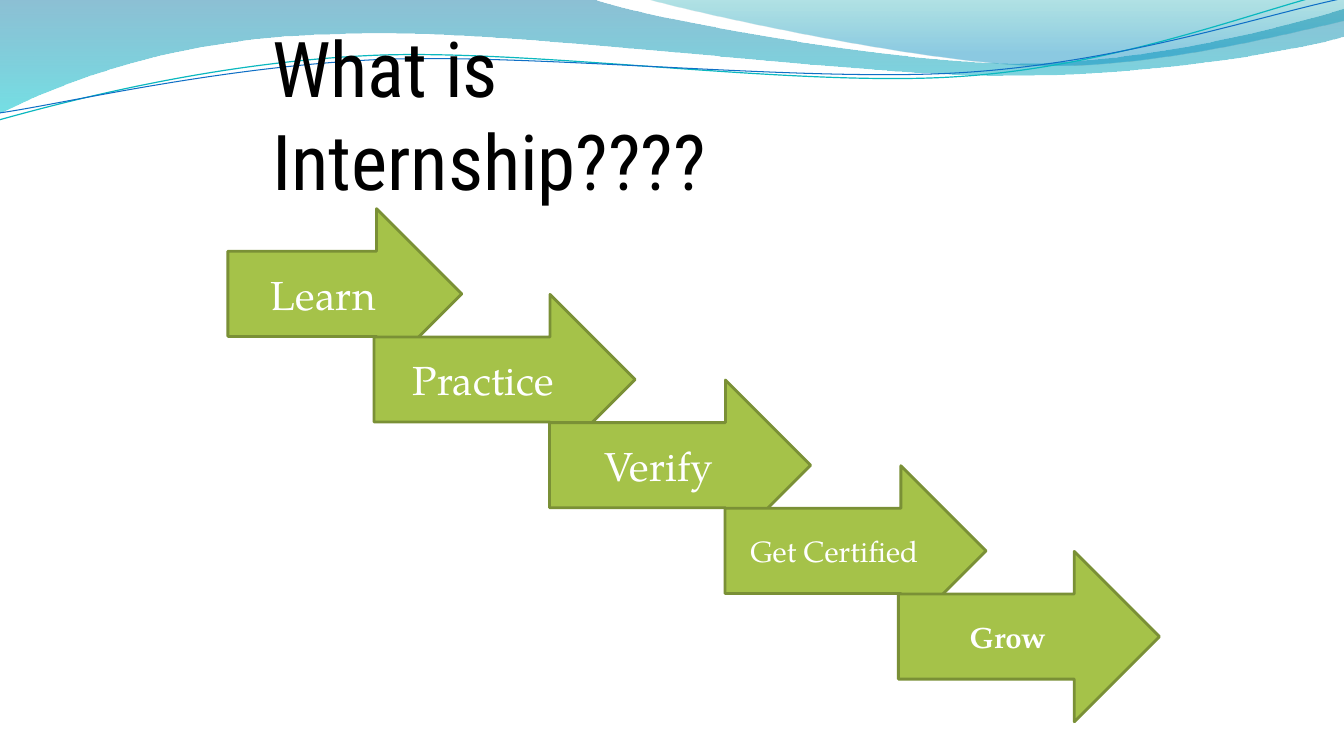
import math

from lxml import etree
from pptx import Presentation
from pptx.dml.color import RGBColor
from pptx.enum import shapes, text
from pptx.oxml import ns
from pptx.util import Inches, Pt

BLACK = RGBColor(0x00, 0x00, 0x00)
WHITE = RGBColor(0xFF, 0xFF, 0xFF)
GREEN = RGBColor(0xA5, 0xC2, 0x49)
DARK_GREEN = RGBColor(0x7A, 0x90, 0x36)
TEAL_LINE = RGBColor(0x0A, 0xB8, 0xBF)
BLUE_LINE = RGBColor(0x0F, 0x6F, 0xC6)
DEEP_BLUE = RGBColor(0x00, 0x74, 0xA1)
AQUA = RGBColor(0x00, 0xC6, 0xCF)
TEAL = RGBColor(0x00, 0xA1, 0xA9)
SKY_BLUE = RGBColor(0x00, 0x8B, 0xBF)

TITLE_FONT = "Roboto Condensed"
STEP_FONT = "TeX Gyre Pagella"
CURVE_TILT = 2.7

LEFT_WAVE = [
    [(0, 0)],
    [(5.87, -0.01)],
    [(6.34, 0.17), (8.85, 0.63), (10.11, 0.63)],
    [(11.38, 0.63), (12.78, 0.26), (13.33, 0.09)],
    [(13.35, 0.36)],
    [(13.11, 0.44), (11.6, 0.76), (9.94, 0.75)],
    [(8.29, 0.75), (5.09, 0.28), (3.43, 0.34)],
    [(1.72, 0.36), (0.61, 0.83), (-0.01, 1.13)],
]
RIGHT_WAVE = [
    [(6.39, -0.01)],
    [(6.79, 0.11), (9.09, 0.62), (10.25, 0.65)],
    [(11.41, 0.69), (12.82, 0.32), (13.33, 0.21)],
    [(13.33, 0)],
]
TEAL_CURVE = [
    [(-0.01, 1.19)],
    [(0.64, 1.01), (2.11, 0.62), (3.69, 0.55)],
    [(5.27, 0.48), (7.9, 0.87), (9.5, 0.76)],
    [(11.1, 0.66), (12.52, 0.08), (13.31, -0.1)],
]
BLUE_CURVE = [
    [(0, 1.12)],
    [(0.63, 1.03), (2.18, 0.66), (3.78, 0.59)],
    [(5.37, 0.53), (7.96, 0.82), (9.55, 0.72)],
    [(11.15, 0.62), (12.55, 0.14), (13.34, -0.02)],
]

STEPS = [
    ("Learn", 2.26, 2.32, 29, False),
    ("Practice", 3.71, 2.59, 29, False),
    ("Verify", 5.45, 2.59, 29, False),
    ("Get Certified", 7.19, 2.59, 21, False),
    ("Grow", 8.91, 2.59, 21, True),
]
FIRST_TOP, STEP_DROP, ARROW_HEIGHT = 2.07, 0.85, 1.69


def bend(outline, segments):
    edges = list(outline.element.iter(ns.qn("a:lnTo")))
    for edge, segment in zip(edges, segments[1:]):
        if len(segment) == 1:
            continue
        curve = etree.Element(ns.qn("a:cubicBezTo"))
        for x, y in segment[:2]:
            etree.SubElement(curve, ns.qn("a:pt"),
                             x=str(Inches(x) - outline.left),
                             y=str(Inches(y) - outline.top))
        curve.append(edge[0])
        edge.getparent().replace(edge, curve)


def add_outline(slide, segments, close):
    start, *rest = [(Inches(x), Inches(y)) for *_, (x, y) in segments]
    builder = slide.shapes.build_freeform(*start)
    builder.add_line_segments(rest, close=close)
    outline = builder.convert_to_shape()
    outline.shadow.inherit = False
    bend(outline, segments)
    return outline


def add_wave(slide, segments, stops):
    wave = add_outline(slide, segments, True)
    wave.line.fill.background()
    wave.fill.gradient()
    wave.fill.gradient_angle = 270
    for stop, (position, color, _) in zip(wave.fill.gradient_stops, stops):
        stop.position = position
        stop.color.rgb = color
    colors = wave.element.spPr.iter(ns.qn("a:srgbClr"))
    for color, (_, _, opacity) in zip(colors, stops):
        etree.SubElement(color, ns.qn("a:alpha"), val=str(opacity * 1000))


def turn(segments, center, degrees):
    cx, cy = center
    cos, sin = math.cos(math.radians(degrees)), math.sin(math.radians(degrees))
    return [[(cx + (x - cx) * cos - (y - cy) * sin,
              cy + (x - cx) * sin + (y - cy) * cos) for x, y in segment]
            for segment in segments]


def add_curve(slide, segments, center, color, width):
    curve = add_outline(slide, turn(segments, center, CURVE_TILT), False)
    curve.rotation = -CURVE_TILT
    curve.fill.background()
    curve.line.color.rgb = color
    curve.line.width = Pt(width)


def add_words(frame, words, font, size, color, bold=False):
    frame.word_wrap = True
    frame.vertical_anchor = text.MSO_ANCHOR.MIDDLE
    paragraph = frame.paragraphs[0]
    run = paragraph.add_run()
    run.text = words
    run.font.name = font
    run.font.size = Pt(size)
    run.font.bold = bold
    run.font.color.rgb = color
    return paragraph


def add_title(slide, words):
    title = slide.shapes.add_textbox(
        Inches(2.7), Inches(0.39), Inches(6.16), Inches(1.47))
    frame = title.text_frame
    frame.margin_left = frame.margin_right = 0
    frame.margin_top = frame.margin_bottom = 0
    add_words(frame, words, TITLE_FONT, 55, BLACK)


def add_step(slide, label, left, top, width, size, bold):
    arrow = slide.shapes.add_shape(
        shapes.MSO_SHAPE.RIGHT_ARROW,
        Inches(left), Inches(top), Inches(width), Inches(ARROW_HEIGHT))
    arrow.shadow.inherit = False
    arrow.fill.solid()
    arrow.fill.fore_color.rgb = GREEN
    arrow.line.color.rgb = DARK_GREEN
    arrow.line.width = Pt(2)
    paragraph = add_words(arrow.text_frame, label, STEP_FONT, size, WHITE, bold)
    paragraph.alignment = text.PP_ALIGN.CENTER


def main():
    deck = Presentation()
    deck.slide_width, deck.slide_height = Inches(13.33), Inches(7.5)
    slide = deck.slides.add_slide(deck.slide_layouts[6])

    add_wave(slide, LEFT_WAVE, [(0, DEEP_BLUE, 45), (1, AQUA, 55)])
    add_wave(slide, RIGHT_WAVE, [(0, TEAL, 30), (0.8, SKY_BLUE, 45)])
    add_curve(slide, TEAL_CURVE, (6.65, 0.57), TEAL_LINE, 0.85)
    add_curve(slide, BLUE_CURVE, (6.67, 0.59), BLUE_LINE, 0.75)

    add_title(slide, "What is Internship????")
    for i, (label, left, width, size, bold) in enumerate(STEPS):
        add_step(slide, label, left, FIRST_TOP + i * STEP_DROP, width, size, bold)

    deck.save("out.pptx")


if __name__ == "__main__":
    main()
